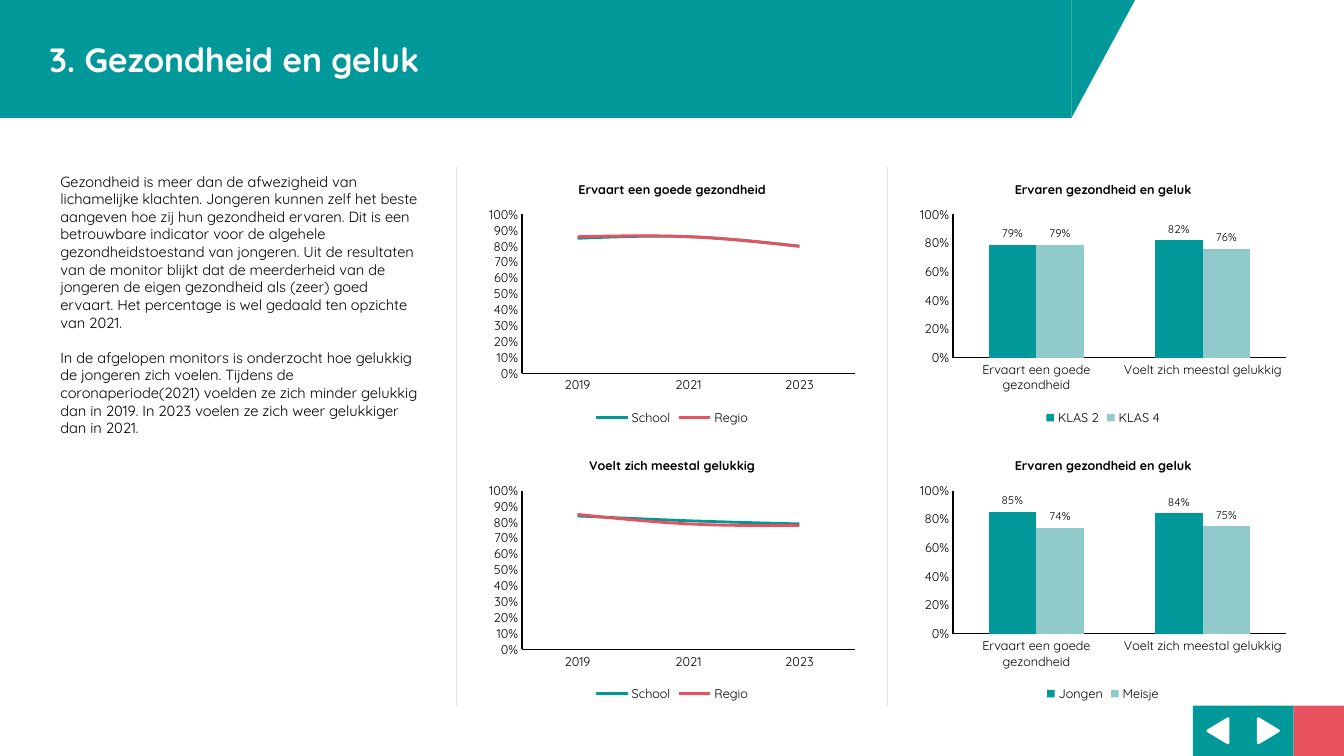
import pptx
import pptx.chart.data
import pptx.dml.color
import pptx.enum.chart
import pptx.enum.shapes
import pptx.enum.text
import pptx.oxml
import pptx.oxml.ns
import pptx.util

Pt = pptx.util.Pt
SHAPE = pptx.enum.shapes.MSO_SHAPE
CHART = pptx.enum.chart.XL_CHART_TYPE
TEAL, LIGHT_TEAL, RED = "009898", "91CACA", "E8525F"
WHITE, BLACK, GREY = "FFFFFF", "000000", "E3E3E3"


def rgb(value):
    return pptx.dml.color.RGBColor.from_string(value)


class Page:
    font_name = "Quicksand"

    def __init__(self, slide):
        self.slide = slide
        self.shapes = slide.shapes

    def style(self, font, size, color=BLACK, bold=False):
        font.name = self.font_name
        font.size = Pt(size)
        font.bold = bold
        font.color.rgb = rgb(color)

    def fill(self, sp, color):
        sp.fill.solid()
        sp.fill.fore_color.rgb = rgb(color)

    def stroke(self, line, color, width):
        line.color.rgb = rgb(color)
        line.width = Pt(width)

    def title(self, text, width, height):
        sp = self.shapes.title
        sp.left, sp.top, sp.width, sp.height = 0, 0, Pt(width), Pt(height)
        self.fill(sp, TEAL)
        tf = sp.text_frame
        tf.text = text
        tf.word_wrap = True
        tf.auto_size = pptx.enum.text.MSO_AUTO_SIZE.NONE
        tf.vertical_anchor = pptx.enum.text.MSO_ANCHOR.MIDDLE
        tf.margin_left = Pt(35.3)
        p = tf.paragraphs[0]
        p.alignment = pptx.enum.text.PP_ALIGN.LEFT
        p.line_spacing = 1
        p.space_before = Pt(0)
        self.style(p.runs[0].font, 24, WHITE, True)

    def shape(self, kind, x, y, w, h, color, outline=None, rotation=0):
        sp = self.shapes.add_shape(kind, Pt(x), Pt(y), Pt(w), Pt(h))
        sp.shadow.inherit = False
        sp.rotation = rotation
        self.fill(sp, color)
        if outline:
            self.stroke(sp.line, outline, 2)
        else:
            sp.line.fill.background()
        return sp

    def divider(self, x, top, bottom):
        line = self.shapes.add_connector(
            pptx.enum.shapes.MSO_CONNECTOR.STRAIGHT, Pt(x), Pt(bottom), Pt(x), Pt(top))
        self.stroke(line.line, GREY, 1)
        line.element.spPr.append(pptx.oxml.parse_xml(
            "<a:effectLst %s/>" % pptx.oxml.ns.nsdecls("a")))

    def text(self, x, y, w, h, paragraphs):
        tf = self.shapes.add_textbox(Pt(x), Pt(y), Pt(w), Pt(h)).text_frame
        tf.word_wrap = True
        tf.text = "\n".join(paragraphs)
        for i, p in enumerate(tf.paragraphs):
            p.space_before = Pt(12.6 if i else 0)
            self.style(p.runs[0].font, 10.5)

    def chart(self, kind, x, y, w, h, title, categories, series, colors, unit):
        data = pptx.chart.data.CategoryChartData(number_format="0%")
        data.categories = categories
        for name, values in series.items():
            data.add_series(name, values)
        chart = self.shapes.add_chart(kind, Pt(x), Pt(y), Pt(w), Pt(h), data).chart
        self.style(chart.font, 9)
        chart.has_title = True
        tf = chart.chart_title.text_frame
        tf.text = title
        self.style(tf.paragraphs[0].runs[0].font, 9, bold=True)
        chart.has_legend = True
        chart.legend.position = pptx.enum.chart.XL_LEGEND_POSITION.BOTTOM
        chart.legend.include_in_layout = False
        self.style(chart.legend.font, 9)
        for axis in (chart.category_axis, chart.value_axis):
            axis.has_major_gridlines = False
            axis.major_tick_mark = pptx.enum.chart.XL_TICK_MARK.NONE
            axis.minor_tick_mark = pptx.enum.chart.XL_TICK_MARK.NONE
            self.style(axis.tick_labels.font, 9)
            self.stroke(axis.format.line, BLACK, 1)
        axis = chart.value_axis
        axis.minimum_scale, axis.maximum_scale, axis.major_unit = 0, 1, unit
        axis.tick_labels.number_format = "0%"
        axis.tick_labels.number_format_is_linked = False
        plot = chart.plots[0]
        plot.vary_by_categories = False
        for item, color in zip(plot.series, colors):
            if kind == CHART.LINE:
                item.smooth = True
                self.stroke(item.format.line, color, 2)
            else:
                item.invert_if_negative = False
                self.fill(item.format, color)
        if kind == CHART.COLUMN_CLUSTERED:
            plot.gap_width = 150
            plot.overlap = 0
            plot.has_data_labels = True
            labels = plot.data_labels
            labels.show_value = True
            labels.position = pptx.enum.chart.XL_LABEL_POSITION.OUTSIDE_END
            labels.number_format = "0%"
            labels.number_format_is_linked = False
            self.style(labels.font, 8)


def main():
    prs = pptx.Presentation()
    prs.slide_width, prs.slide_height = Pt(960), Pt(540)
    page = Page(prs.slides.add_slide(prs.slide_layouts[5]))

    banner_w, banner_h = 765.4, 84.2
    page.title("3. Gezondheid en geluk", banner_w, banner_h)
    corner = page.shape(SHAPE.RIGHT_TRIANGLE, banner_w, 0, 45.4, banner_h, TEAL)
    corner.element.spPr.find(pptx.oxml.ns.qn("a:xfrm")).set("flipV", "1")

    button, arrow_w, arrow_h = 36, 17.3, 14.4
    for i, (color, rotation) in enumerate([(TEAL, 270), (TEAL, 90), (RED, None)]):
        x, y = 960 - (3 - i) * button, 540 - button
        page.shape(SHAPE.RECTANGLE, x, y, button, button, color)
        if rotation:
            page.shape(SHAPE.ISOSCELES_TRIANGLE, x + (button - arrow_w) / 2,
                       y + (button - arrow_h) / 2, arrow_w, arrow_h, WHITE, WHITE, rotation)

    left, top, step_x, step_y = 36, 119.6, 307.9, 197.2
    width, height = 272.2, 187.2
    for column in (1, 2):
        page.divider(left + column * step_x - 17.8, top, 504)

    page.text(left, top, width, 198, [
        "Gezondheid is meer dan de afwezigheid van lichamelijke klachten. Jongeren kunnen "
        "zelf het beste aangeven hoe zij hun gezondheid ervaren. Dit is een betrouwbare "
        "indicator voor de algehele gezondheidstoestand van jongeren. Uit de resultaten van "
        "de monitor blijkt dat de meerderheid van de jongeren de eigen gezondheid als (zeer) "
        "goed ervaart. Het percentage is wel gedaald ten opzichte van 2021.",
        "In de afgelopen monitors is onderzocht hoe gelukkig de jongeren zich voelen. Tijdens "
        "de coronaperiode(2021) voelden ze zich minder gelukkig dan in 2019. In 2023 voelen "
        "ze zich weer gelukkiger dan in 2021.",
    ])

    health, happy = "Ervaart een goede gezondheid", "Voelt zich meestal gelukkig"
    both = "Ervaren gezondheid en geluk"
    trend = (CHART.LINE, ["2019", "2021", "2023"], (TEAL, RED), 0.1)
    groups = (CHART.COLUMN_CLUSTERED, [health, happy], (TEAL, LIGHT_TEAL), 0.2)
    charts = [
        (1, 0, trend, health, {"School": (0.85, 0.86, 0.8), "Regio": (0.86, 0.86, 0.8)}),
        (1, 1, trend, happy, {"School": (0.84, 0.81, 0.79), "Regio": (0.85, 0.79, 0.78)}),
        (2, 0, groups, both, {"KLAS 2": (0.79, 0.82), "KLAS 4": (0.79, 0.76)}),
        (2, 1, groups, both, {"Jongen": (0.85, 0.84), "Meisje": (0.74, 0.75)}),
    ]
    for column, row, (kind, categories, colors, unit), title, series in charts:
        page.chart(kind, left + column * step_x, top + row * step_y, width, height,
                   title, categories, series, colors, unit)

    prs.save("out.pptx")


if __name__ == "__main__":
    main()
